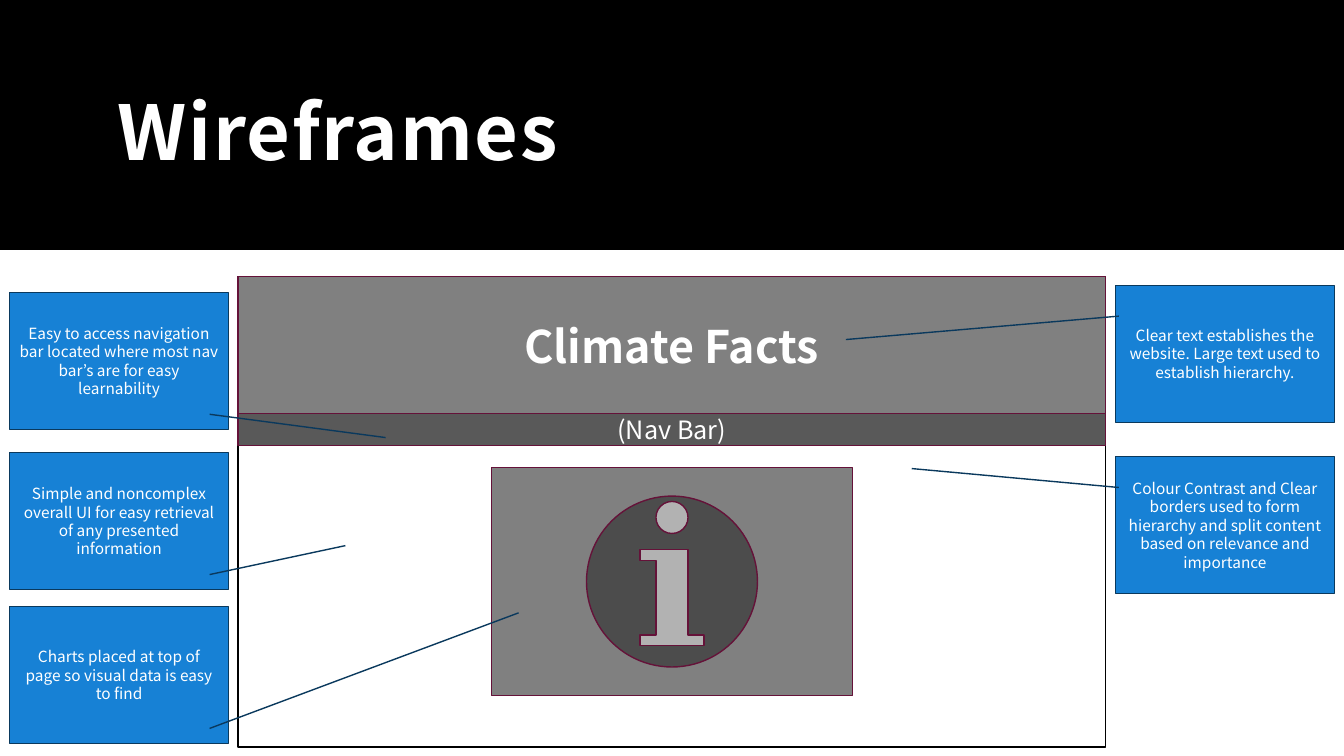
import pptx
import pptx.util
import pptx.dml.color
import pptx.enum.shapes
import pptx.enum.text

Pt = pptx.util.Pt
Kind = pptx.enum.shapes.MSO_SHAPE
Align = pptx.enum.text.PP_ALIGN
FONT = "Noto Sans CJK JP"


def color(code):
    return pptx.dml.color.RGBColor.from_string(code)


def block(kind, box, fill, line=None, text="", size=18, bold=False):
    shape = slide.shapes.add_shape(kind, *[Pt(n) for n in box])
    shape.shadow.inherit = False
    shape.fill.solid()
    shape.fill.fore_color.rgb = color(fill)
    if line:
        shape.line.color.rgb = color(line)
        shape.line.width = Pt(1)
    else:
        shape.line.fill.background()
    if text:
        frame = shape.text_frame
        frame.text = text
        frame.word_wrap = True
        frame.vertical_anchor = pptx.enum.text.MSO_ANCHOR.MIDDLE
        para = frame.paragraphs[0]
        para.alignment = Align.CENTER
        font = para.runs[0].font
        font.name, font.size, font.bold = FONT, Pt(size), bold
        font.color.rgb = color("FFFFFF")
    return shape


deck = pptx.Presentation()
deck.slide_width, deck.slide_height = Pt(960), Pt(540)
slide = deck.slides.add_slide(deck.slide_layouts[6])

# Title band
block(Kind.RECTANGLE, (0, 0, 960, 178.5), "000000")
title = slide.shapes.add_textbox(Pt(75.6), Pt(25.2), Pt(808.6), Pt(133.9))
frame = title.text_frame
frame.text = "Wireframes"
frame.word_wrap = True
frame.vertical_anchor = pptx.enum.text.MSO_ANCHOR.MIDDLE
frame.margin_left = frame.margin_right = frame.margin_top = Pt(8.64)
frame.margin_bottom = Pt(7.2)
run = frame.paragraphs[0].runs[0]
run.font.name, run.font.size, run.font.bold = FONT, Pt(54), True
run.font.color.rgb = color("FFFFFF")
run.font._element.set("spc", "120")

# Page wireframe
left, top, width = 169.9, 197.6, 620
block(Kind.RECTANGLE, (left, top, width, 336), "FFFFFF", "000000")
block(Kind.RECTANGLE, (left, top, width, 98), "808080", "651239",
      "Climate Facts", 32, True)
block(Kind.RECTANGLE, (left, 295.3, width, 23), "595959", "651239", "(Nav Bar)")
block(Kind.ACTION_BUTTON_INFORMATION, (351, 334, 258, 162.8),
      "808080", "651239")

# Callouts: left, top, leader start and end as (y, x) shares of the box, text
right_start, left_start = (0.225, 0.014), (0.89, 0.914)
notes = [
    (797, 203.8, right_start, (0.396, -1.234),
     "Clear text establishes the website. Large text used to establish "
     "hierarchy."),
    (797, 326.2, right_start, (0.087, -0.933),
     "Colour Contrast and Clear borders used to form hierarchy and split "
     "content based on relevance and importance"),
    (7, 208.8, left_start, (1.06, 1.719),
     "Easy to access navigation bar located where most nav bar’s are for "
     "easy learnability"),
    (7, 323.3, left_start, (0.679, 1.535),
     "Simple and noncomplex overall UI for easy retrieval of any presented "
     "information"),
    (7, 433.2, left_start, (0.047, 2.327),
     "Charts placed at top of page so visual data is easy to find"),
]
for x, y, start, end, text in notes:
    note = block(Kind.LINE_CALLOUT_1, (x, y, 156.2, 97.9),
                 "1781D5", "0A395D", text, 11)
    note.text_frame.paragraphs[0].line_spacing = Pt(13.2)
    for i, share in enumerate(start + end):
        note.adjustments[i] = share

deck.save("out.pptx")
